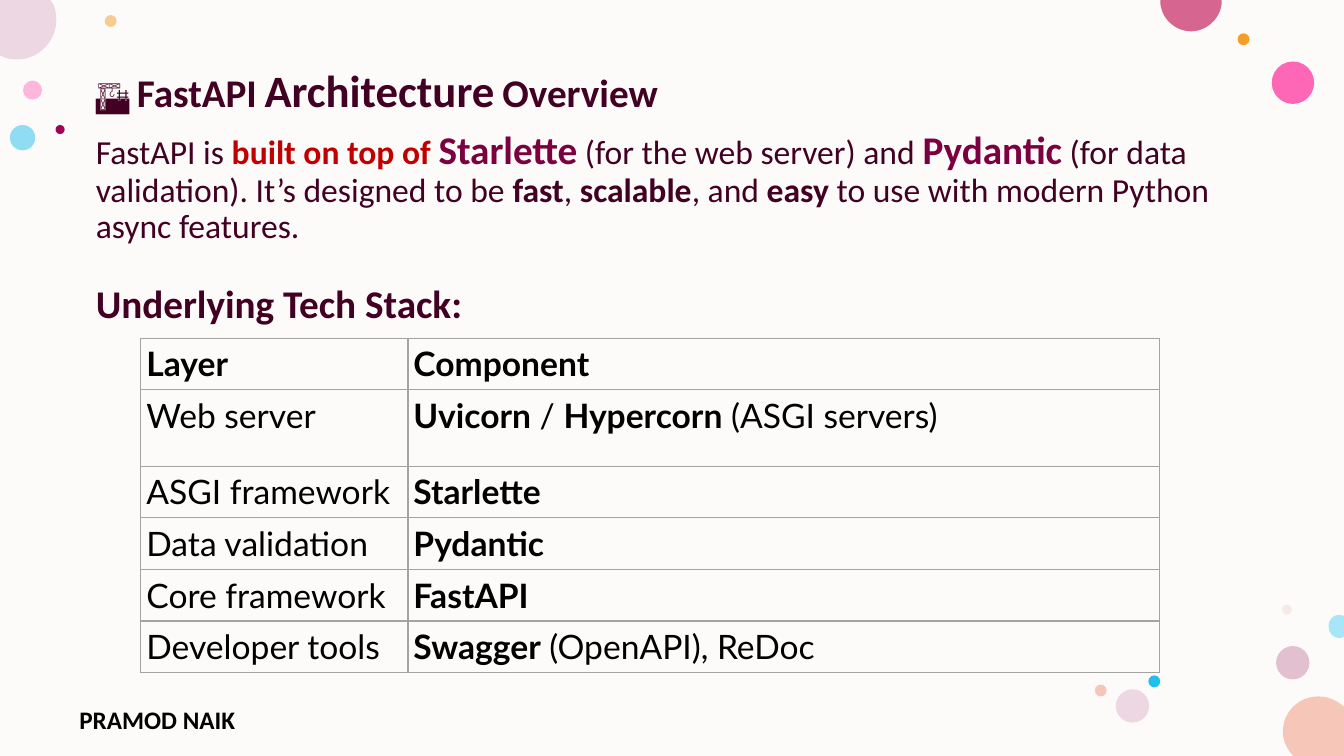
from itertools import chain

from lxml.etree import SubElement
from pptx import Presentation
from pptx.dml.color import RGBColor
from pptx.enum.shapes import MSO_SHAPE as Shape
from pptx.enum.text import MSO_ANCHOR as Anchor, MSO_AUTO_SIZE as AutoSize, PP_ALIGN as Align
from pptx.oxml.ns import qn
from pptx.util import Cm, Pt

PAGE_WIDTH, PAGE_HEIGHT = 33.87, 19.05
PLUM, BERRY, RED, BLACK, GREY = "420023", "7B0040", "C00000", "000000", "A3A3A3"

# left, top, diameter in cm, colour, opacity in percent
DOTS = [
    (0.58, 2.03, 0.48, "FF75BD", 50),
    (2.64, 0.38, 0.3, "F39E29", 50),
    (32.16, 16.28, 0.84, "C987A8", 50),
    (0.25, 3.15, 0.64, "24BEEE", 50),
    (32.05, 1.55, 1.07, "FF2F9C", 72),
    (31.19, 0.84, 0.3, "F39E29", 100),
    (32.31, 15.24, 0.25, "E3BEBE", 28),
    (28.94, 17.02, 0.3, "24BEEE", 100),
    (28.12, 17.37, 0.84, "EDD7E2", 100),
    (27.59, 17.25, 0.3, "F6C7B9", 100),
    (1.4, 3.15, 0.23, "A40056", 100),
]

# Discs cut by the page edge: colour, start, then lines (x, y) and Bézier curves (three points)
CUT_DOTS = [
    ("F6C7B9", (33.22, 17.55),
     [(33.47, 17.55, 33.69, 17.65, 33.87, 17.81), (33.87, 19.05), (32.59, 19.05),
      (32.43, 18.87, 32.33, 18.66, 32.33, 18.44), (32.33, 17.94, 32.73, 17.55, 33.22, 17.55)]),
    ("EDD7E2", (0, 0),
     [(1.27, 0), (1.35, 0.13), (1.4, 0.23, 1.42, 0.36, 1.42, 0.51),
      (1.42, 1.04, 0.97, 1.5, 0.43, 1.5), (0.28, 1.5, 0.15, 1.47, 0.05, 1.42), (0, 1.4)]),
    ("D6658F", (29.25, 0),
     [(30.79, 0), (30.79, 0.03), (30.79, 0.43, 30.43, 0.79, 30.02, 0.79),
      (29.59, 0.79, 29.24, 0.43, 29.24, 0.03)]),
    ("A7E5F8", (33.76, 15.49),
     [(33.87, 15.52), (33.87, 16.05), (33.76, 16.08),
      (33.6, 16.08, 33.48, 15.95, 33.48, 15.77), (33.48, 15.62, 33.6, 15.49, 33.76, 15.49)]),
]

# Spans: text, size, colour, bold
TITLE = [
    ("🏗️ ", 24, PLUM, True),
    ("FastAPI", 28, PLUM, True),
    (" ", 24, PLUM, True),
    ("Architecture", 32, PLUM, True),
    (" ", 24, PLUM, True),
    ("Overview", 28, PLUM, True),
]
INTRO = [
    ("FastAPI is ", 24, PLUM, False),
    ("built on top of ", 24, RED, True),
    ("Starlette", 28, BERRY, True),
    (" (for the web server) and ", 24, PLUM, False),
    ("Pydantic", 28, BERRY, True),
    (" (for data validation). It’s designed to be ", 24, PLUM, False),
    ("fast", 24, PLUM, True),
    (", ", 24, PLUM, False),
    ("scalable", 24, PLUM, True),
    (", and ", 24, PLUM, False),
    ("easy", 24, PLUM, True),
    (" to use with modern Python async features.", 24, PLUM, False),
]
STACK_HEADING = [("Underlying Tech Stack:", 28, PLUM, True)]

# Each cell is a list of (text, bold)
STACK = [
    ([("Layer", True)], [("Component", True)]),
    ([("Web server", False)],
     [("Uvicorn", True), (" / ", False), ("Hypercorn", True), (" (ASGI servers)", False)]),
    ([("ASGI framework", False)], [("Starlette", True)]),
    ([("Data validation", False)], [("Pydantic", True)]),
    ([("Core framework", False)], [("FastAPI", True)]),
    ([("Developer tools", False)], [("Swagger", True), (" (OpenAPI), ReDoc", False)]),
]


def colour(value):
    return RGBColor.from_string(value)


def add_spans(para, spans, font_name="Calibri"):
    for text, size, ink, bold in spans:
        span = para.add_run()
        span.text = text
        span.font.name = font_name
        span.font.size = Pt(size)
        span.font.bold = bold
        span.font.color.rgb = colour(ink)


def paint(shape, ink, opacity=100):
    shape.shadow.inherit = False
    shape.line.fill.background()
    shape.fill.solid()
    shape.fill.fore_color.rgb = colour(ink)
    if opacity < 100:
        tint = shape._element.spPr.find(".//" + qn("a:srgbClr"))
        SubElement(tint, qn("a:alpha"), val=str(opacity * 1000))


def add_cut_dot(page, ink, start, segments):
    """Build the outline through all points, then join each curve's three into a Bézier."""
    points = [
        (Cm(segment[i]), Cm(segment[i + 1]))
        for segment in segments for i in range(0, len(segment), 2)
    ]
    outline = page.shapes.build_freeform(*map(Cm, start))
    outline.add_line_segments(points, close=True)
    dot = outline.convert_to_shape()
    lines = iter(dot._element.findall(".//" + qn("a:lnTo")))
    for segment in segments:
        line = next(lines)
        if len(segment) == 6:
            line.tag = qn("a:cubicBezTo")
            for _ in range(2):
                extra = next(lines)
                line.append(extra[0])
                extra.getparent().remove(extra)
    paint(dot, ink)


def add_backdrop(page, box):
    paint(page.shapes.add_shape(Shape.RECTANGLE, *map(Cm, box)), "FDFBF9")
    for left, top, diameter, ink, opacity in DOTS:
        dot = page.shapes.add_shape(Shape.OVAL, *map(Cm, (left, top, diameter, diameter)))
        paint(dot, ink, opacity)
    for cut_dot in CUT_DOTS:
        add_cut_dot(page, *cut_dot)


def fill_placeholder(holder, box, paragraphs):
    """paragraphs holds pairs of spans and space before in points."""
    holder.left, holder.top, holder.width, holder.height = map(Cm, box)
    frame = holder.text_frame
    frame.word_wrap = True
    frame.auto_size = AutoSize.NONE
    frame.vertical_anchor = Anchor.TOP
    for index, (spans, space) in enumerate(paragraphs):
        para = frame.add_paragraph() if index else frame.paragraphs[0]
        properties = para._p.get_or_add_pPr()
        properties.set("marL", "0")
        properties.set("indent", "0")
        SubElement(properties, qn("a:buNone"))
        para.alignment = Align.LEFT
        para.line_spacing = 0.9
        para.space_before = Pt(space)
        add_spans(para, spans)


def add_presenter(page, box):
    label = page.shapes.add_textbox(*map(Cm, box))
    label.text_frame.word_wrap = True
    add_spans(label.text_frame.paragraphs[0], [("PRAMOD NAIK", 18, BLACK, True)])


def style_cell(cell):
    cell.margin_left = cell.margin_right = cell.margin_top = cell.margin_bottom = Cm(0.14)
    properties = cell._tc.get_or_add_tcPr()
    for side in ("lnL", "lnR", "lnT", "lnB"):
        border = SubElement(properties, qn("a:" + side), w=str(Pt(1)))
        SubElement(SubElement(border, qn("a:solidFill")), qn("a:srgbClr"), val=GREY)
    cell.fill.background()


def add_stack_table(page, box):
    table = page.shapes.add_table(len(STACK), 2, *map(Cm, box)).table
    table.first_row = table.horz_banding = False
    width, height = box[2:]
    first_width, row_height = 6.73, 1.3
    table.columns[0].width = Cm(first_width)
    table.columns[1].width = Cm(width - first_width)
    for row in table.rows:
        row.height = Cm(row_height)
    table.rows[1].height = Cm(height - row_height * (len(STACK) - 1))
    for cell, content in zip(table.iter_cells(), chain.from_iterable(STACK)):
        style_cell(cell)
        spans = [(text, 24, BLACK, bold) for text, bold in content]
        add_spans(cell.text_frame.paragraphs[0], spans, "Lato")


def build_architecture_page(deck):
    page = deck.slides.add_slide(deck.slide_layouts[1])
    title, body = page.placeholders
    add_backdrop(page, (0, 0, PAGE_WIDTH, PAGE_HEIGHT))
    for holder in (title, body):
        page.shapes._spTree.append(holder._element)  # bring in front of the backdrop
    fill_placeholder(title, (2.16, 1.6, 29.62, 1.5), [(TITLE, 0)])
    fill_placeholder(body, (2.16, 3.17, 29.62, 14.49), [(INTRO, 0), (STACK_HEADING, 28)])
    add_presenter(page, (1.75, 17.63, 6.22, 0.81))
    add_stack_table(page, (3.55, 8.52, 25.68, 8.43))


def main():
    deck = Presentation()
    deck.slide_width, deck.slide_height = Cm(PAGE_WIDTH), Cm(PAGE_HEIGHT)
    build_architecture_page(deck)
    deck.save("out.pptx")


if __name__ == "__main__":
    main()
